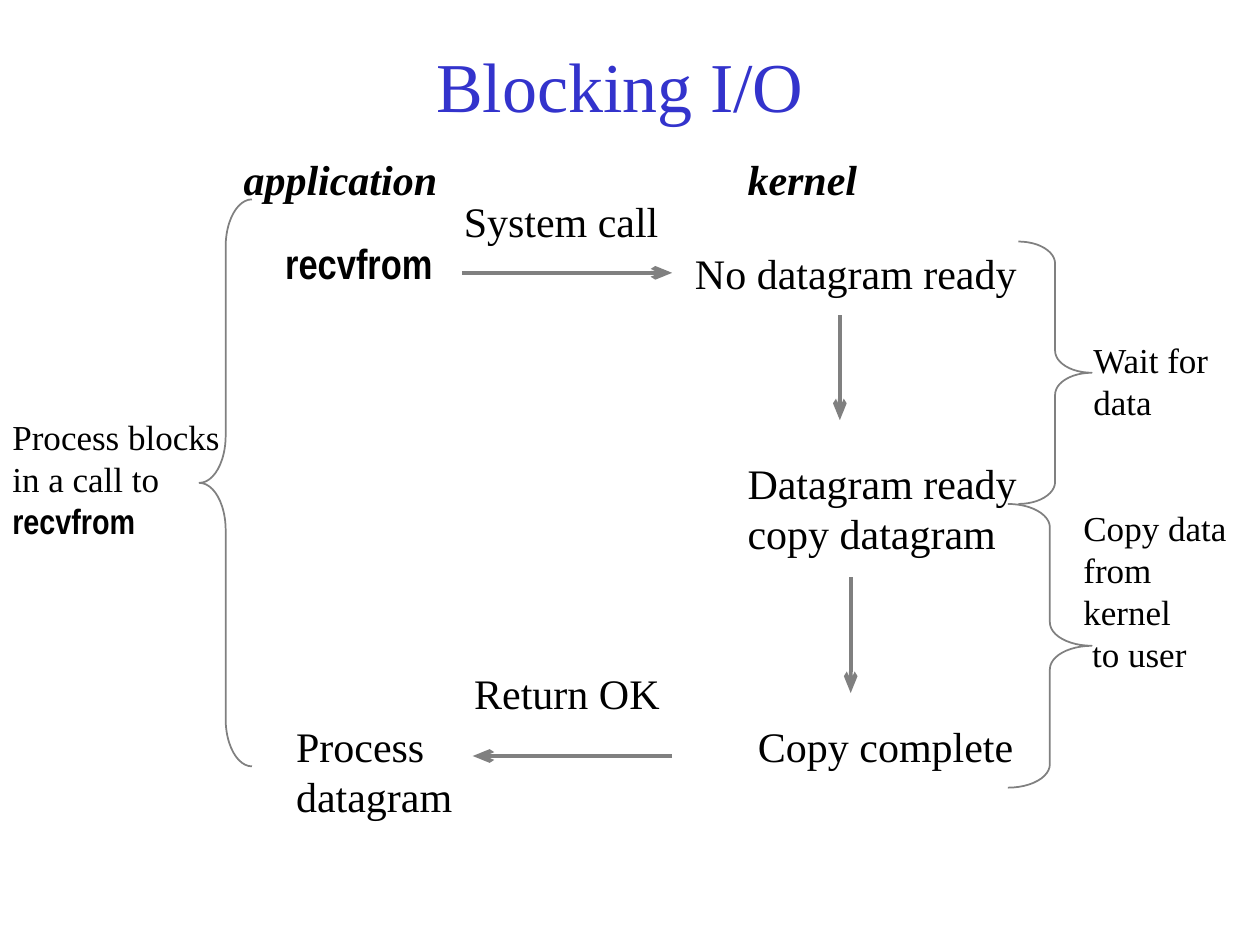
from dataclasses import dataclass

from lxml.etree import SubElement
from pptx import Presentation
from pptx.dml.color import RGBColor
from pptx.enum.shapes import MSO_CONNECTOR, MSO_SHAPE
from pptx.enum.text import MSO_ANCHOR, MSO_AUTO_SIZE, PP_ALIGN
from pptx.oxml.ns import qn
from pptx.util import Cm, Pt


@dataclass(frozen=True)
class Theme:
    title_color: RGBColor = RGBColor(0x33, 0x33, 0xCC)
    text_color: RGBColor = RGBColor(0, 0, 0)
    line_color: RGBColor = RGBColor(0x80, 0x80, 0x80)
    serif: str = "Times New Roman"
    narrow: str = "Arial Narrow"
    title_size: int = 40
    step_size: int = 24
    note_size: int = 20
    brace_width: float = 1
    arrow_width: float = 2.25


def set_values(target, values):
    for name, value in values.items():
        setattr(target, name, value)


class SlideWriter:
    def __init__(self, slide, theme):
        self.slide = slide
        self.theme = theme

    def write_span(self, para, text, size, color, **font_values):
        span = para.add_run()
        span.text = text
        set_values(span.font, {"name": self.theme.serif, "size": Pt(size), **font_values})
        span.font.color.rgb = color

    def title(self, text, left, top, width, height):
        box = self.slide.shapes.title
        set_values(box, {"left": Cm(left), "top": Cm(top), "width": Cm(width), "height": Cm(height)})
        set_values(box.text_frame, {"vertical_anchor": MSO_ANCHOR.MIDDLE, "auto_size": MSO_AUTO_SIZE.NONE})
        para = box.text_frame.paragraphs[0]
        para.alignment = PP_ALIGN.CENTER
        self.write_span(para, text, self.theme.title_size, self.theme.title_color)

    def label(self, lines, left, top, width, height, size, wrap=False, **font_values):
        box = self.slide.shapes.add_textbox(Cm(left), Cm(top), Cm(width), Cm(height))
        frame = box.text_frame
        set_values(frame, {"word_wrap": wrap, "auto_size": MSO_AUTO_SIZE.SHAPE_TO_FIT_TEXT})
        for index, line in enumerate(lines):
            para = frame.add_paragraph() if index else frame.paragraphs[0]
            values = font_values
            if line == "recvfrom":
                values = {"name": self.theme.narrow, "bold": True}
            self.write_span(para, line, size, self.theme.text_color, **values)

    def brace(self, kind, left, top, width, height, curve):
        brace = self.slide.shapes.add_shape(kind, Cm(left), Cm(top), Cm(width), Cm(height))
        brace.adjustments[0] = curve
        brace.shadow.inherit = False
        brace.fill.background()
        brace.line.color.rgb = self.theme.line_color
        brace.line.width = Pt(self.theme.brace_width)

    def arrow(self, start_x, start_y, end_x, end_y):
        arrow = self.slide.shapes.add_connector(
            MSO_CONNECTOR.STRAIGHT, Cm(start_x), Cm(start_y), Cm(end_x), Cm(end_y)
        )
        arrow.line.color.rgb = self.theme.line_color
        arrow.line.width = Pt(self.theme.arrow_width)
        properties = arrow.element.spPr
        SubElement(properties.find(qn("a:ln")), qn("a:tailEnd"), type="arrow", len="lg")
        SubElement(properties, qn("a:effectLst"))


def main():
    deck = Presentation()
    set_values(deck, {"slide_width": Cm(25.4), "slide_height": Cm(19.05)})
    theme = Theme()
    page = SlideWriter(deck.slides.add_slide(deck.slide_layouts[5]), theme)
    page.title("Blocking I/O", 1.7, 0.85, 21.59, 1.69)

    for kind, left, top, width, height, curve in [
        (MSO_SHAPE.LEFT_BRACE, 4.02, 4.02, 1.06, 11.43, 0.9),
        (MSO_SHAPE.RIGHT_BRACE, 20.53, 4.87, 1.48, 5.29, 0.3),
        (MSO_SHAPE.RIGHT_BRACE, 20.32, 10.16, 1.69, 5.72, 0.28),
    ]:
        page.brace(kind, left, top, width, height, curve)

    for text, left, width in [("application", 4.66, 4.42), ("kernel", 14.82, 2.72)]:
        page.label([text], left, 2.96, width, 1.27, theme.step_size, bold=True, italic=True)

    for lines, left, top, width in [
        (["recvfrom"], 5.5, 4.66, 3.48),
        (["Process", "datagram"], 5.72, 14.39, 3.66),
        (["System call"], 9.1, 3.81, 4.5),
        (["Return OK"], 9.31, 13.34, 4.3),
        (["No datagram ready"], 13.76, 4.87, 7.02),
        (["Datagram ready", "copy datagram"], 14.82, 9.1, 5.98),
        (["Copy complete"], 15.03, 14.39, 5.7),
    ]:
        page.label(lines, left, top, width, 0.25 + 1.02 * len(lines), theme.step_size)

    for lines, left, top, width, wrap in [
        (["Process blocks", "in a call to", "recvfrom"], 0, 8.26, 4.85, False),
        (["Wait for", "data"], 21.79, 6.7, 3.05, False),
        (["Copy data", "from kernel", " to user"], 21.59, 10.08, 3.81, True),
    ]:
        page.label(lines, left, top, width, 0.25 + 0.85 * len(lines), theme.note_size, wrap)

    for ends in [
        (9.31, 5.5, 13.55, 5.5),
        (13.55, 15.24, 9.53, 15.24),
        (16.93, 6.35, 16.93, 8.47),
        (17.15, 11.64, 17.15, 13.97),
    ]:
        page.arrow(*ends)

    deck.save("out.pptx")


if __name__ == "__main__":
    main()
